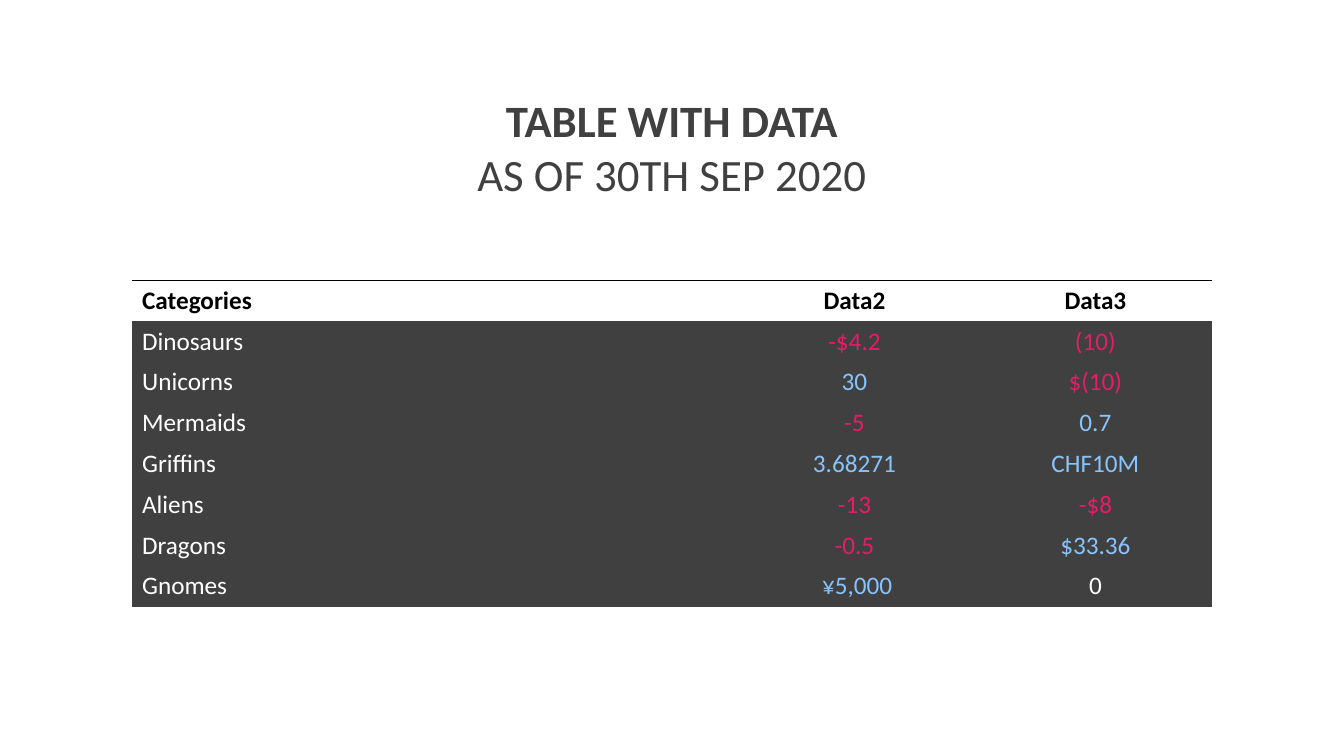
from lxml import etree
from pptx import Presentation
from pptx.dml.color import RGBColor
from pptx.enum.text import MSO_ANCHOR, PP_ALIGN
from pptx.oxml.ns import qn
from pptx.util import Inches, Pt

CENTER, LEFT = PP_ALIGN.CENTER, PP_ALIGN.LEFT
TOP = MSO_ANCHOR.TOP
BLACK = RGBColor(0x00, 0x00, 0x00)
WHITE = RGBColor(0xFF, 0xFF, 0xFF)
DARK_GRAY = RGBColor(0x40, 0x40, 0x40)
PINK = RGBColor(0xE6, 0x1C, 0x69)
BLUE = RGBColor(0x88, 0xC4, 0xFC)
FONT_NAME = "Calibri"
NO_GRID_STYLE = "{2D5ABB26-0587-4C30-8999-92F81FD0307C}"

ROWS = [
    ("Categories", "Data2", "Data3"),
    ("Dinosaurs", "-$4.2", "(10)"),
    ("Unicorns", "30", "$(10)"),
    ("Mermaids", "-5", "0.7"),
    ("Griffins", "3.68271", "CHF10M"),
    ("Aliens", "-13", "-$8"),
    ("Dragons", "-0.5", "$33.36"),
    ("Gnomes", " ¥5,000", "0"),
]
COLUMN_WIDTHS = [5.93, 2.47, 2.31]


def format_paragraph(paragraph, size, color, bold, alignment):
    paragraph.alignment = alignment
    for run in paragraph.runs:
        run.font.name = FONT_NAME
        run.font.size = Pt(size)
        run.font.bold = bold
        run.font.color.rgb = color


def value_color(value):
    if value == "0":
        return WHITE
    return PINK if "-" in value or "(" in value else BLUE


presentation = Presentation()
presentation.slide_width = Inches(13.33)
presentation.slide_height = Inches(7.5)
slide = presentation.slides.add_slide(presentation.slide_layouts[6])

# Title
title = slide.shapes.add_textbox(Inches(0), Inches(0.87), Inches(13.33), Inches(1.18))
text_frame = title.text_frame
text_frame.word_wrap = True
text_frame.vertical_anchor = TOP
text_frame.text = "TABLE WITH DATA\nAS OF 30TH SEP 2020"
for paragraph, bold in zip(text_frame.paragraphs, (True, False)):
    format_paragraph(paragraph, 32, DARK_GRAY, bold, CENTER)

# Table without style bands or grid
table = slide.shapes.add_table(
    len(ROWS), len(COLUMN_WIDTHS),
    Inches(1.31), Inches(2.78), Inches(sum(COLUMN_WIDTHS)), Inches(3.24),
).table
table.first_row = False
table.horz_banding = False
table._tbl.tblPr.find(qn("a:tableStyleId")).text = NO_GRID_STYLE
for column, width in zip(table.columns, COLUMN_WIDTHS):
    column.width = Inches(width)

# Cells: values are coloured by sign
for row_index, row in enumerate(ROWS):
    is_header = row_index == 0
    for column_index, text in enumerate(row):
        cell = table.cell(row_index, column_index)
        cell.text_frame.text = text
        if is_header:
            color = BLACK
            cell.fill.background()
            # Black rule above the header
            properties = cell._tc.get_or_add_tcPr()
            top_line = etree.Element(qn("a:lnT"), w=str(Pt(1)))
            line_fill = etree.SubElement(top_line, qn("a:solidFill"))
            etree.SubElement(line_fill, qn("a:srgbClr"), val=str(BLACK))
            properties.insert(0, top_line)
        else:
            color = WHITE if column_index == 0 else value_color(text)
            cell.fill.solid()
            cell.fill.fore_color.rgb = DARK_GRAY
        alignment = LEFT if column_index == 0 else CENTER
        format_paragraph(cell.text_frame.paragraphs[0], 18, color, is_header, alignment)

presentation.save("out.pptx")
